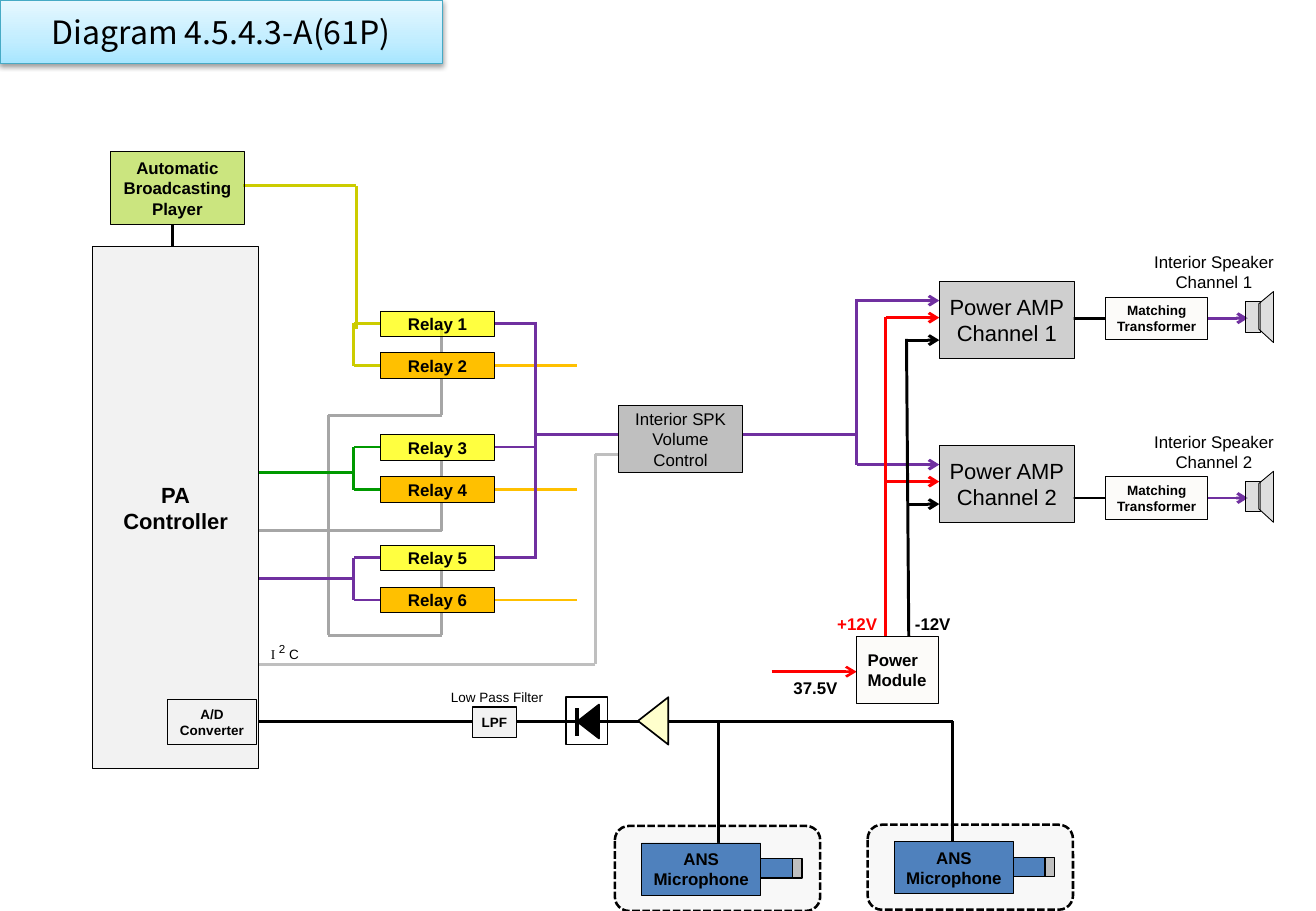
from dataclasses import dataclass
from itertools import pairwise

from lxml.etree import SubElement
from pptx import Presentation
from pptx.dml.color import RGBColor
from pptx.enum.dml import MSO_LINE
from pptx.enum.shapes import MSO_CONNECTOR, MSO_SHAPE
from pptx.enum.text import MSO_ANCHOR, PP_ALIGN
from pptx.oxml import parse_xml
from pptx.oxml.ns import nsdecls, qn
from pptx.util import Emu, Inches, Pt

Point = tuple[float, float]


@dataclass(frozen=True)
class Theme:
    black: str = "000000"
    red: str = "FF0000"
    purple: str = "7030A0"
    green: str = "009900"
    olive: str = "CCCC00"
    lime: str = "99CC00"
    yellow: str = "FFFF00"
    orange: str = "FFC000"
    cream: str = "FFFFCC"
    blue: str = "4F81BD"
    grey: str = "A6A6A6"
    silver: str = "BFBFBF"
    pale: str = "F2F2F2"
    paper: str = "FCFBF9"
    title_edge: str = "46AAC5"
    body_font: str = "Arial"
    serif_font: str = "Times New Roman"
    title_font: str = "Noto Sans CJK KR"
    small: float = 8
    normal: float = 10
    superscript: float = 12
    large: float = 13
    title: float = 19
    wire: float = 1.75


THEME = Theme()


@dataclass(frozen=True)
class Box:
    """A block in grid columns and rows; without fill or line it is a label."""
    left: float
    top: float
    width: float
    height: float
    text: str = ""
    fill: str | None = None
    opacity: int = 100
    line: float = 0
    size: float = THEME.normal
    bold: bool = True
    color: str = THEME.black
    align: PP_ALIGN = PP_ALIGN.CENTER
    inset: float = 0
    form: MSO_SHAPE = MSO_SHAPE.RECTANGLE
    rotation: float = 0
    dashed: bool = False


@dataclass(frozen=True)
class RelayPair:
    top: float
    color: str


@dataclass(frozen=True)
class Channel:
    number: int
    amp_top: float
    speaker_row: float


COLUMNS, ROWS = 108.3, 75
JOINT, RELAY_LEFT, RELAY_RIGHT, BUS = 29.1, 31.3, 40.7, 44.1
RELAYS = [RelayPair(25.6, THEME.olive), RelayPair(35.8, THEME.green), RelayPair(44.9, THEME.purple)]
CHANNELS = [Channel(1, 23.2, 26.2), Channel(2, 36.7, 41)]
MICROPHONES: list[Point] = [(50.6, 68), (71.4, 67.9)]
AMP_LEFT, AUDIO, PLUS, MINUS = 77.3, 70.5, 72.9, 74.7
MIC_ROW = 59.4

presentation = Presentation()
presentation.slide_width, presentation.slide_height = Inches(10.83), Inches(7.5)
slide = presentation.slides.add_slide(presentation.slide_layouts[5])
shapes = slide.shapes


def across(columns: float) -> Emu:
    return Emu(round(presentation.slide_width * columns / COLUMNS))


def down(rows: float) -> Emu:
    return Emu(round(presentation.slide_height * rows / ROWS))


def paint(shape, fill: str | None, opacity: int, line: float) -> None:
    shape.shadow.inherit = False
    if fill:
        shape.fill.solid()
        shape.fill.fore_color.rgb = RGBColor.from_string(fill)
        color = shape.fill._xPr.find(".//" + qn("a:srgbClr"))
        SubElement(color, qn("a:alpha"), val=str(opacity * 1000))
    else:
        shape.fill.background()
    if line:
        shape.line.color.rgb = RGBColor.from_string(THEME.black)
        shape.line.width = Pt(line)
    else:
        shape.line.fill.background()


def format_text(frame, size: float, font: str, bold: bool, color: str, align: PP_ALIGN) -> None:
    frame.word_wrap = False
    frame.vertical_anchor = MSO_ANCHOR.MIDDLE
    frame.margin_left = frame.margin_right = frame.margin_top = frame.margin_bottom = 0
    for paragraph in frame.paragraphs:
        paragraph.alignment = align
        for run in paragraph.runs:
            run.font.size, run.font.name, run.font.bold = Pt(size), font, bold
            run.font.color.rgb = RGBColor.from_string(color)


def draw(box: Box):
    place = across(box.left), down(box.top), across(box.width), down(box.height)
    if box.fill or box.line:
        shape = shapes.add_shape(box.form, *place)
        paint(shape, box.fill, box.opacity, box.line)
        shape.rotation = box.rotation
        if box.dashed:
            shape.line.dash_style = MSO_LINE.SQUARE_DOT
    else:
        shape = shapes.add_textbox(*place)
    if box.text:
        shape.text_frame.text = box.text
        format_text(shape.text_frame, box.size, THEME.body_font, box.bold, box.color, box.align)
        shape.text_frame.margin_left = across(box.inset)
    return shape


def wire(color: str, *points: Point, width: float = THEME.wire, arrow: bool = False) -> None:
    """Join the points with straight connectors; an arrowhead ends the last."""
    for start, end in pairwise(points):
        connector = shapes.add_connector(MSO_CONNECTOR.STRAIGHT, across(start[0]), down(start[1]),
                                         across(end[0]), down(end[1]))
        connector.line.color.rgb = RGBColor.from_string(color)
        connector.line.width = Pt(width)
        if arrow and end == points[-1]:
            SubElement(connector.line._get_or_add_ln(), qn("a:tailEnd"), type="arrow")
        SubElement(connector._element.spPr, qn("a:effectLst"))


def draw_title() -> None:
    title = shapes.title
    title.left, title.top, title.width, title.height = 0, 0, across(36.4), down(5.2)
    title.text_frame.text = "Diagram 4.5.4.3-A(61P)"
    format_text(title.text_frame, THEME.title, THEME.title_font, False, THEME.black, PP_ALIGN.CENTER)
    title.line.color.rgb = RGBColor.from_string(THEME.title_edge)
    title.line.width = Pt(0.75)
    edge = title.line._get_or_add_ln()
    stops = "".join(f'<a:gs pos="{share * 1000}"><a:srgbClr val="{color}"/></a:gs>'
                    for share, color in [(0, "A7E6FF"), (35, "C1EDFF"), (100, "E7F8FF")])
    edge.addprevious(parse_xml(f'<a:gradFill {nsdecls("a")}><a:gsLst>{stops}</a:gsLst>'
                               '<a:lin ang="16200000" scaled="1"/></a:gradFill>'))
    edge.addnext(parse_xml(
        f'<a:effectLst {nsdecls("a")}><a:outerShdw blurRad="40000" dist="20000" dir="5400000" '
        'rotWithShape="0"><a:srgbClr val="000000"><a:alpha val="38000"/></a:srgbClr>'
        '</a:outerShdw></a:effectLst>'))


def draw_control_wires() -> None:
    for top, bottom in [(26.4, 34.2), (37.9, 43.7), (46.8, 52.3)]:
        wire(THEME.grey, (36.35, top), (36.35, bottom))
    wire(THEME.grey, (36.4, 34.2), (27, 34.2), (27, 52.3), (36.4, 52.3))
    wire(THEME.grey, (36.4, 43.7), (20.8, 43.7))
    wire(THEME.silver, (56, 37.4), (49, 37.4), (49, 54.7), (11.4, 54.7))
    wire(THEME.olive, (20, 15.3), (29.3, 15.3), (29.3, 27.1))
    wire(THEME.green, (JOINT, 38.9), (21, 38.9))
    wire(THEME.purple, (JOINT, 47.6), (21, 47.6))
    wire(THEME.black, (14.2, 20.8), (14.2, 18.5), width=1.5)


def draw_relays() -> None:
    for index, pair in enumerate(RELAYS):
        first, second = pair.top + 1, pair.top + 4.5
        wire(pair.color, (RELAY_LEFT, first), (JOINT, first), (JOINT, second), (RELAY_LEFT, second))
        wire(THEME.purple, (RELAY_RIGHT, first), (BUS, first))
        wire(THEME.orange, (RELAY_RIGHT, second), (47.5, second))
        for step, fill, opacity in [(0, THEME.yellow, 75), (1, THEME.orange, 100)]:
            draw(Box(RELAY_LEFT, pair.top + 3.45 * step, 9.4, 2.1, f"Relay {2 * index + step + 1}",
                     fill, opacity, 0.5))
    wire(THEME.purple, (BUS, RELAYS[0].top + 0.9), (BUS, RELAYS[-1].top + 1.1))
    wire(THEME.purple, (BUS, 35.8), (AUDIO, 35.8))


def draw_channel(channel: Channel) -> None:
    row = channel.speaker_row
    for start, color, offset in [(AUDIO, THEME.purple, 1.55), (PLUS, THEME.red, 2.95),
                                 (MINUS, THEME.black, 4.8)]:
        level = channel.amp_top + offset
        wire(color, (start, level), (AMP_LEFT, level), arrow=True)
    wire(THEME.black, (88.3, row), (91, row))
    wire(THEME.purple, (96.3, row), (102.7, row), arrow=True)
    draw(Box(AMP_LEFT, channel.amp_top, 11.1, 6.3, f"Power AMP\nChannel {channel.number}",
             THEME.silver, 75, 0.5, THEME.large, False))
    draw(Box(91, row - 1.75, 8.4, 3.5, "Matching\nTransformer", THEME.paper, 100, 0.5, THEME.small))
    draw(Box(93.4, row - 5.5, 13, 3.4, f"Interior Speaker\nChannel {channel.number}", bold=False))
    draw(Box(102.5, row - 1.35, 1.2, 2.5, fill=THEME.silver, opacity=50, line=0.5))
    cone = [(across(x), down(row + y)) for x, y in
            [(104.8, -2.2), (103.6, -1.2), (103.6, 0.9), (104.8, 2)]]
    outline = shapes.build_freeform(*cone[0])
    outline.add_line_segments(cone[1:], close=True)
    paint(outline.convert_to_shape(), THEME.silver, 50, 0.5)


def draw_power() -> None:
    first, second = CHANNELS
    wire(THEME.black, (74.8, 54), (74.6, first.amp_top + 4.7))
    wire(THEME.red, (PLUS, 53.6), (PLUS, first.amp_top + 2.9))
    wire(THEME.purple, (AUDIO, first.amp_top + 1.4), (AUDIO, second.amp_top + 1.6))
    wire(THEME.red, (63.5, 55.3), (AUDIO, 55.3), width=1.5, arrow=True)
    left = PP_ALIGN.LEFT
    draw(Box(70.5, 52.4, 6.7, 5.5, "Power\nModule", THEME.paper, 100, 0.5, align=left, inset=0.9))
    draw(Box(68.9, 50.5, 4, 1.7, "+12V", color=THEME.red, align=left))
    draw(Box(75.3, 50.5, 4, 1.7, "-12V", align=left))
    draw(Box(65.3, 55.8, 4, 1.7, "37.5V", align=left))


def draw_microphone_line() -> None:
    for left, top in MICROPHONES:
        draw(Box(left, top, 16.9, 7, fill=THEME.pale, opacity=50, line=1.5,
                 form=MSO_SHAPE.ROUNDED_RECTANGLE, dashed=True))
    wire(THEME.black, (21.3, MIC_ROW), (78.4, MIC_ROW), (78.4, 69.4))
    wire(THEME.black, (59.1, MIC_ROW), (59.1, 69.4))
    for left, top in MICROPHONES:
        draw(Box(left + 12, top + 2.7, 2.6, 1.6, fill=THEME.blue, line=0.75))
        draw(Box(left + 14.6, top + 2.7, 0.8, 1.6, fill=THEME.silver, line=0.75))
        draw(Box(left + 2.2, top + 1.4, 9.8, 4.3, "ANS\nMicrophone", THEME.blue, line=0.5))
    triangle = MSO_SHAPE.ISOSCELES_TRIANGLE
    draw(Box(51.8, 58.1, 3.9, 2.5, fill=THEME.cream, line=1, form=triangle, rotation=270))
    draw(Box(47, 58.5, 2.8, 1.8, fill=THEME.black, line=1, form=triangle, rotation=270))
    wire(THEME.black, (47.5, 58.3), (47.5, 60.6), width=2.25)
    draw(Box(46.6, 57.4, 3.4, 3.9, line=1))
    draw(Box(38.9, 58.2, 3.6, 2.5, "LPF", THEME.pale, line=0.75, size=THEME.small))
    draw(Box(37.1, 56.7, 9, 1.4, "Low Pass Filter", size=THEME.small, bold=False, align=PP_ALIGN.LEFT))


def draw_controller() -> None:
    draw(Box(9.1, 12.5, 11, 6, "Automatic\nBroadcasting\nPlayer", THEME.lime, 50, 0.5))
    draw(Box(7.6, 20.3, 13.7, 43, "PA\nController", THEME.pale, line=0.5, size=THEME.large))
    draw(Box(13.8, 57.6, 7.3, 3.7, "A/D\nConverter", THEME.pale, line=0.75, size=THEME.small))
    draw(Box(50.9, 33.4, 10.2, 5.5, "Interior SPK\nVolume\nControl", THEME.silver, line=0.75, bold=False))
    bus_name = draw(Box(22.3, 52.9, 3, 1.4, "I ", size=THEME.small, bold=False, align=PP_ALIGN.LEFT))
    paragraph = bus_name.text_frame.paragraphs[0]
    paragraph.runs[0].font.name = THEME.serif_font
    for text, size in [("2", THEME.superscript), (" C", THEME.small)]:
        run = paragraph.add_run()
        run.text = text
        run.font.size, run.font.name = Pt(size), THEME.body_font
        run.font.color.rgb = RGBColor.from_string(THEME.black)
    paragraph.runs[1].font._element.set("baseline", "30000")


draw_title()
draw_control_wires()
draw_relays()
for speaker_channel in CHANNELS:
    draw_channel(speaker_channel)
draw_power()
draw_microphone_line()
draw_controller()
presentation.save("out.pptx")
